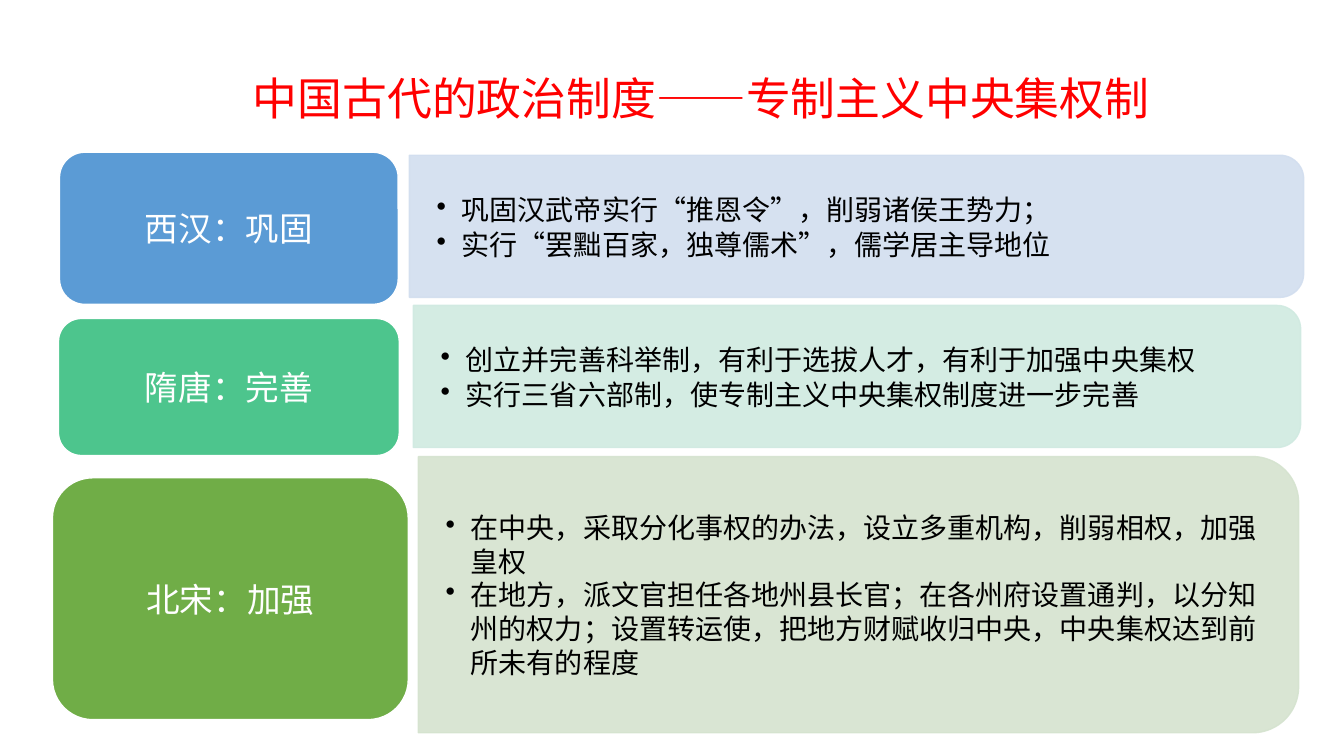
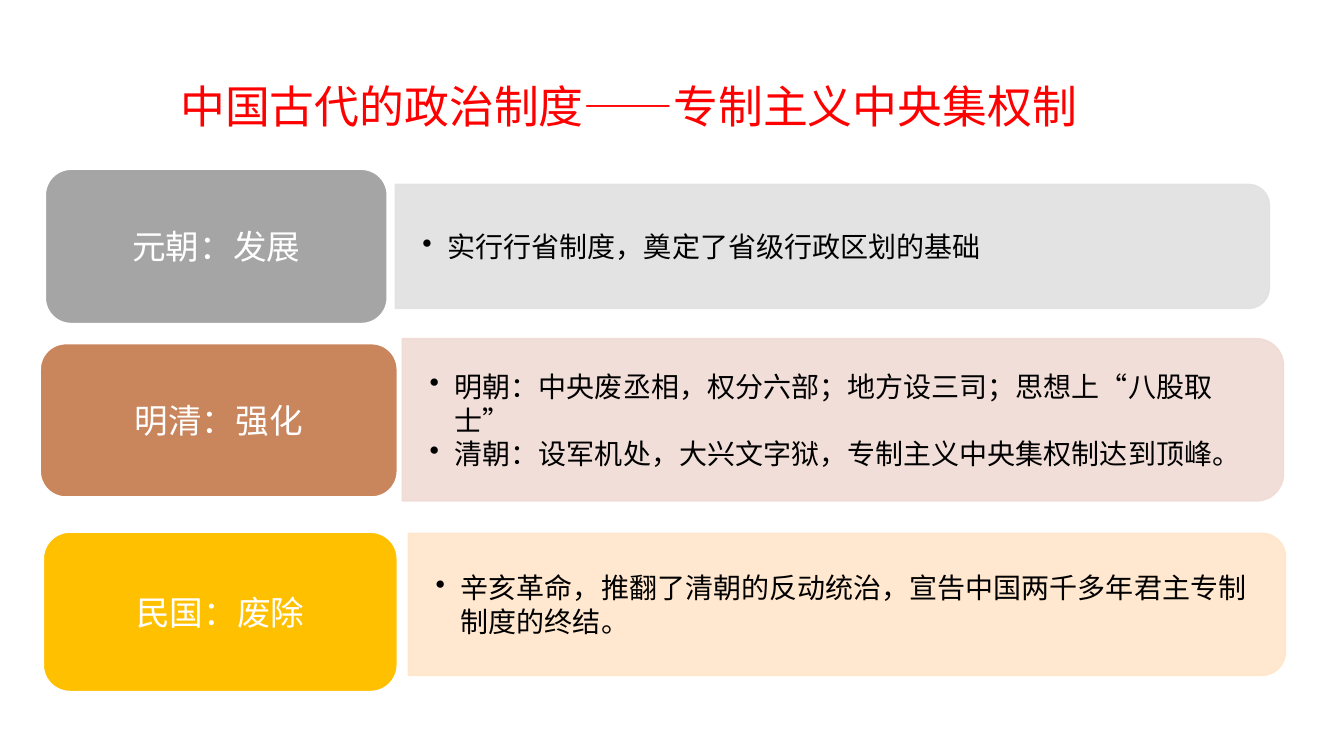
import dataclasses

import lxml.etree
import pptx
import pptx.dml.color
import pptx.enum.shapes
import pptx.enum.text
import pptx.oxml.ns
import pptx.util

Inches = pptx.util.Inches
SHAPE = pptx.enum.shapes.MSO_SHAPE
ALIGN = pptx.enum.text.PP_ALIGN
ANCHOR = pptx.enum.text.MSO_ANCHOR
qn = pptx.oxml.ns.qn


@dataclasses.dataclass(frozen=True)
class Theme:
    font: str = "Noto Sans CJK SC"
    title: str = "FF0000"
    body: str = "000000"
    light: str = "FFFFFF"
    title_size: int = 32
    label_size: int = 24
    body_size: int = 20
    panel_alpha: int = 90000


theme = Theme()


def write(sp, lines, size, color, align=ALIGN.LEFT, anchor=ANCHOR.MIDDLE,
          inset=(0.1, 0.05), spacing=1.2, bullet=False):
    """Fill a shape with one paragraph per line."""
    tf = sp.text_frame
    tf.word_wrap = True
    tf.vertical_anchor = anchor
    tf.margin_left = tf.margin_right = Inches(inset[0])
    tf.margin_top = tf.margin_bottom = Inches(inset[1])
    for i, line in enumerate(lines):
        p = tf.paragraphs[0] if i == 0 else tf.add_paragraph()
        if bullet:
            pPr = p._p.get_or_add_pPr()
            pPr.set("marL", str(Inches(0.25)))
            pPr.set("indent", str(-Inches(0.25)))
            lxml.etree.SubElement(pPr, qn("a:buChar")).set("char", "•")
        p.alignment = align
        p.line_spacing = pptx.util.Pt(round(size * spacing))
        r = p.add_run()
        r.text = line
        r.font.size = pptx.util.Pt(size)
        r.font.color.rgb = pptx.dml.color.RGBColor.from_string(color)
        r.font.name = theme.font
        rPr = r._r.get_or_add_rPr()
        rPr.set("lang", "zh-CN")
        lxml.etree.SubElement(rPr, qn("a:ea")).set("typeface", theme.font)


def add_block(s, kind, box, fill, line):
    """Add a flat filled shape with a 1 pt outline."""
    sp = s.shapes.add_shape(kind, *[Inches(v) for v in box])
    sp.shadow.inherit = False
    sp.fill.solid()
    sp.fill.fore_color.rgb = pptx.dml.color.RGBColor.from_string(fill)
    sp.line.color.rgb = pptx.dml.color.RGBColor.from_string(line)
    sp.line.width = pptx.util.Pt(1)
    return sp


heading = "中国古代的政治制度——专制主义中央集权制"

# Each row: label, its box and colour; panel box, its colour, line spacing, points
slides = [
    ((2.41, 0.6, 9.3, 0.64), [
        ("西汉：巩固", (0.59, 1.51, 3.36, 1.51), "5B9BD5",
         (4.06, 1.54, 8.87, 1.41), "D2DEEF", 1.25,
         ["巩固汉武帝实行“推恩令”，削弱诸侯王势力；",
          "实行“罢黜百家，独尊儒术”，儒学居主导地位"]),
        ("隋唐：完善", (0.58, 3.16, 3.38, 1.36), "4DC58D",
         (4.1, 3.03, 8.8, 1.41), "D0EAE1", 1.25,
         ["创立并完善科举制，有利于选拔人才，有利于加强中央集权",
          "实行三省六部制，使专制主义中央集权制度进一步完善"]),
        ("北宋：加强", (0.52, 4.74, 3.53, 2.4), "70AD47",
         (4.15, 4.53, 8.73, 2.74), "D5E3CF", 1.2,
         ["在中央，采取分化事权的办法，设立多重机构，削弱相权，加强皇权",
          "在地方，派文官担任各地州县长官；在各州府设置通判，以分知州的权力；"
          "设置转运使，把地方财赋收归中央，中央集权达到前所未有的程度"]),
    ]),
    ((1.69, 0.68, 9.91, 0.64), [
        ("元朝：发展", (0.45, 1.68, 3.39, 1.53), "A5A5A5",
         (3.92, 1.83, 8.67, 1.23), "E1E1E1", 1.2,
         ["实行行省制度，奠定了省级行政区划的基础"]),
        ("明清：强化", (0.4, 3.41, 3.54, 1.52), "C9855C",
         (3.99, 3.36, 8.74, 1.61), "F0DBD4", 1.2,
         ["明朝：中央废丞相，权分六部；地方设三司；思想上“八股取士”",
          "清朝：设军机处，大兴文字狱，专制主义中央集权制达到顶峰。"]),
        ("民国：废除", (0.43, 5.28, 3.51, 1.58), "FFC000",
         (4.05, 5.29, 8.7, 1.41), "FFE6CA", 1.2,
         ["辛亥革命，推翻了清朝的反动统治，宣告中国两千多年君主专制制度的终结。"]),
    ]),
]

prs = pptx.Presentation()
prs.slide_width = Inches(13.33)
prs.slide_height = Inches(7.5)

for title_box, rows in slides:
    s = prs.slides.add_slide(prs.slide_layouts[6])

    for label, label_box, color, panel_box, tint, spacing, points in rows:
        # Panel: turned a quarter so that its rounded corners face right
        left, top, width, height = panel_box
        shift = (width - height) / 2
        panel = add_block(s, SHAPE.ROUND_2_SAME_RECTANGLE,
                          (left + shift, top - shift, height, width), tint, tint)
        panel.rotation = 90
        for clr in panel._element.spPr.iter(qn("a:srgbClr")):
            lxml.etree.SubElement(clr, qn("a:alpha")).set("val", str(theme.panel_alpha))

        # Points, kept clear of the rounded corners
        gap = 0.05 * height
        points_box = (left, top + gap, width - gap, height - 2 * gap)
        tb = s.shapes.add_textbox(*[Inches(v) for v in points_box])
        write(tb, points, theme.body_size, theme.body,
              inset=(0.27, 0.14), spacing=spacing, bullet=True)

        # Dynasty label
        sp = add_block(s, SHAPE.ROUNDED_RECTANGLE, label_box, color, theme.light)
        write(sp, [label], theme.label_size, theme.light, align=ALIGN.CENTER)

    # Title
    tb = s.shapes.add_textbox(*[Inches(v) for v in title_box])
    write(tb, [heading], theme.title_size, theme.title, anchor=ANCHOR.TOP, spacing=1.3)

prs.save("out.pptx")
